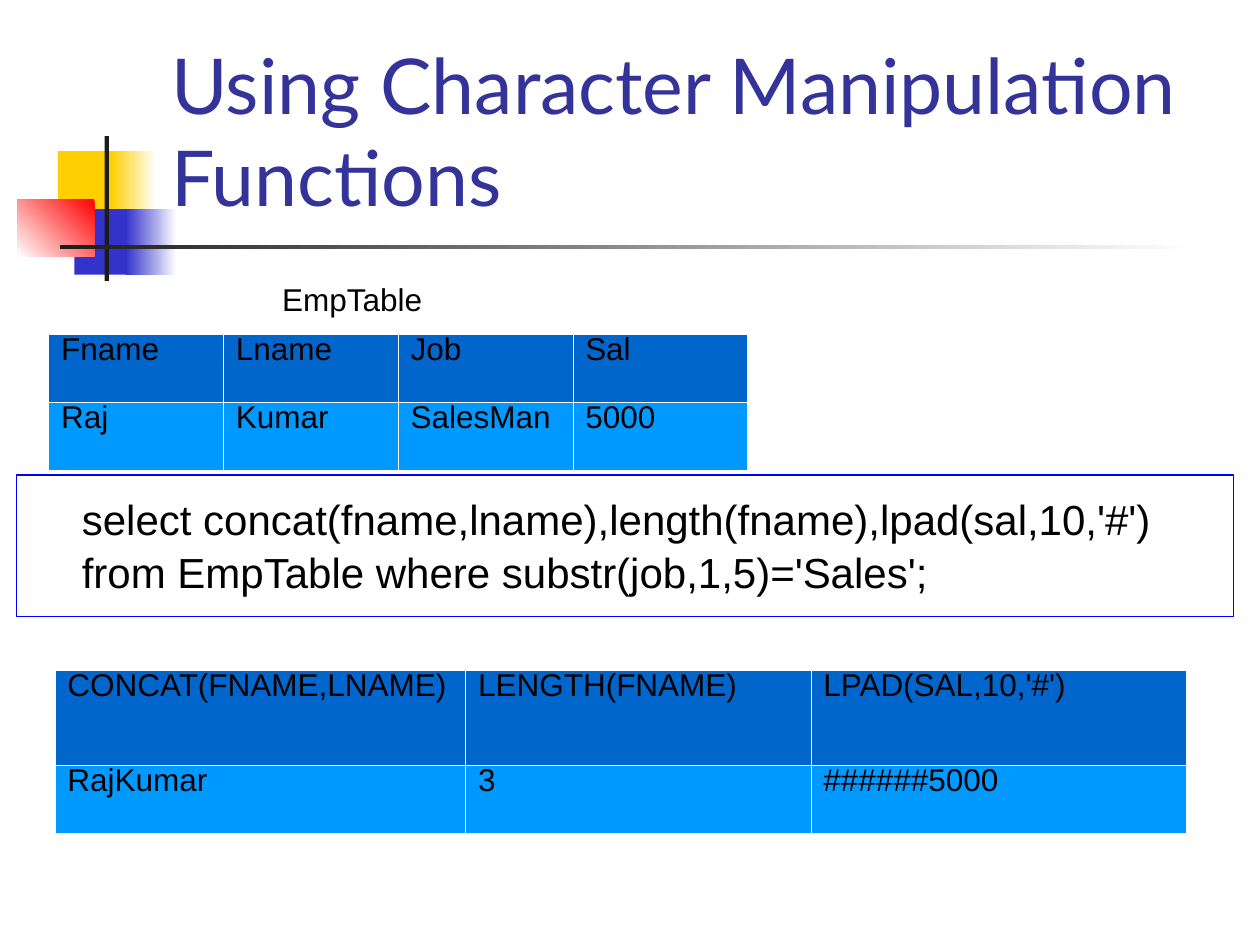
from pptx import Presentation
from pptx.dml.color import RGBColor
from pptx.enum.shapes import MSO_SHAPE
from pptx.enum.text import MSO_ANCHOR, PP_ALIGN
from pptx.oxml.ns import qn
from pptx.util import Inches, Pt
from lxml import etree

RECT, ROUNDED = MSO_SHAPE.RECTANGLE, MSO_SHAPE.ROUNDED_RECTANGLE
MIDDLE = MSO_ANCHOR.MIDDLE
LEFT, CENTER = PP_ALIGN.LEFT, PP_ALIGN.CENTER

WHITE = RGBColor(0xFF, 0xFF, 0xFF)
BLACK = RGBColor(0x00, 0x00, 0x00)
YELLOW = RGBColor(0xFF, 0xCF, 0x01)
INDIGO = RGBColor(0x33, 0x33, 0xCC)
RED = RGBColor(0xFF, 0x00, 0x00)
CHARCOAL = RGBColor(0x1C, 0x1C, 0x1C)
TITLE_BLUE = RGBColor(0x33, 0x33, 0x99)
FRAME_BLUE = RGBColor(0x00, 0x00, 0xFF)
HEAD_BLUE = RGBColor(0x00, 0x66, 0xCC)
ROW_BLUE = RGBColor(0x00, 0x99, 0xFF)

COLUMNS, ROWS = 100, 75  # slide grid


class SlideBuilder:
    title_font, body_font = "Lato", "Arial"

    def __init__(self, prs):
        self.slide = prs.slides.add_slide(prs.slide_layouts[6])
        self.col = prs.slide_width / COLUMNS
        self.row = prs.slide_height / ROWS

    def place(self, x, y, w, h):
        return (round(x * self.col), round(y * self.row),
                round(w * self.col), round(h * self.row))

    def add_text(self, p, text, size, color=BLACK, font=None):
        r = p.add_run()
        r.text = text
        r.font.size = Pt(size)
        r.font.name = font or self.body_font
        r.font.color.rgb = color

    def block(self, box, color, end=None, angle=0):
        """Plain rectangle, or a gradient from color to end."""
        s = self.slide.shapes.add_shape(RECT, *self.place(*box))
        s.shadow.inherit = False
        s.line.fill.background()
        if end is None:
            s.fill.solid()
            s.fill.fore_color.rgb = color
        else:
            s.fill.gradient()
            s.fill.gradient_angle = angle
            for stop, c in zip(s.fill.gradient_stops, (color, end)):
                stop.color.rgb = c

    def title(self, box, text):
        tf = self.slide.shapes.add_textbox(*self.place(*box)).text_frame
        tf.word_wrap = True
        tf.vertical_anchor = MIDDLE
        self.add_text(tf.paragraphs[0], text, 44, TITLE_BLUE, self.title_font)

    def panel(self, box, lines, size, line_color, align, indent=1):
        s = self.slide.shapes.add_shape(ROUNDED, *self.place(*box))
        s.adjustments[0] = 0
        s.shadow.inherit = False
        s.fill.solid()
        s.fill.fore_color.rgb = WHITE
        s.line.color.rgb = line_color
        s.line.width = Pt(0.75)
        tf = s.text_frame
        tf.word_wrap = True
        tf.vertical_anchor = MIDDLE
        tf.margin_left = round(indent * self.col)
        for i, line in enumerate(lines):
            p = tf.add_paragraph() if i else tf.paragraphs[0]
            p.alignment = align
            if i:
                p.space_before = Pt(1.5)
            self.add_text(p, line, size)

    def table(self, x, y, widths, heights, data):
        box = self.place(x, y, sum(widths), sum(heights))
        t = self.slide.shapes.add_table(len(data), len(widths), *box).table
        for column, w in zip(t.columns, widths):
            column.width = round(w * self.col)
        for i, (row, h) in enumerate(zip(t.rows, heights)):
            row.height = round(h * self.row)
            for cell, text in zip(row.cells, data[i]):
                self.borders(cell)
                cell.fill.solid()
                cell.fill.fore_color.rgb = ROW_BLUE if i else HEAD_BLUE
                p = cell.text_frame.paragraphs[0]
                p.line_spacing = 0.71
                self.add_text(p, text, 18)

    def borders(self, cell):
        tc_pr = cell._tc.get_or_add_tcPr()
        for side in ("a:lnL", "a:lnR", "a:lnT", "a:lnB"):
            ln = etree.SubElement(tc_pr, qn(side), w=str(Pt(0.06)))
            fill = etree.SubElement(ln, qn("a:solidFill"))
            etree.SubElement(fill, qn("a:srgbClr"), val=str(WHITE))


def main():
    prs = Presentation()
    prs.slide_width, prs.slide_height = Inches(10), Inches(7.5)
    b = SlideBuilder(prs)

    # Corner ornament and title rule
    b.block((4.6, 12, 4.8, 5.2), YELLOW)
    b.block((8.8, 12, 3.6, 5.2), WHITE, YELLOW, 180)
    b.block((5.9, 16.6, 4.6, 5.2), INDIGO)
    b.block((10, 16.6, 4, 5.2), WHITE, INDIGO, 180)
    b.block((1.4, 15.8, 6.1, 4.6), RED, WHITE, 225)
    b.block((8.3, 10.8, 0.35, 11.5), CHARCOAL)
    b.block((4.8, 19.45, 90, 0.35), WHITE, CHARCOAL, 180)

    b.title((12.6, 2.3, 85.2, 16), "Using Character Manipulation Functions")

    # Source table
    b.table(3.85, 26.55, [13.87] * 4, [5.4] * 2,
            [["Fname", "Lname", "Job", "Sal"],
             ["Raj", "Kumar", "SalesMan", "5000"]])

    # Query and table caption
    b.panel((1.3, 37.7, 96.6, 11.2),
            ["select concat(fname,lname),length(fname),lpad(sal,10,'#')",
             "from EmpTable where substr(job,1,5)='Sales';"],
            24, FRAME_BLUE, LEFT, indent=5.2)
    b.panel((12.5, 22.5, 30.9, 2.5), ["EmpTable"], 18, WHITE, CENTER)

    # Query result
    b.table(4.35, 53.15, [32.6, 27.4, 29.8], [7.6, 5.4],
            [["CONCAT(FNAME,LNAME)", "LENGTH(FNAME)", "LPAD(SAL,10,'#')"],
             ["RajKumar", "3", "######5000"]])

    prs.save("out.pptx")


if __name__ == "__main__":
    main()
